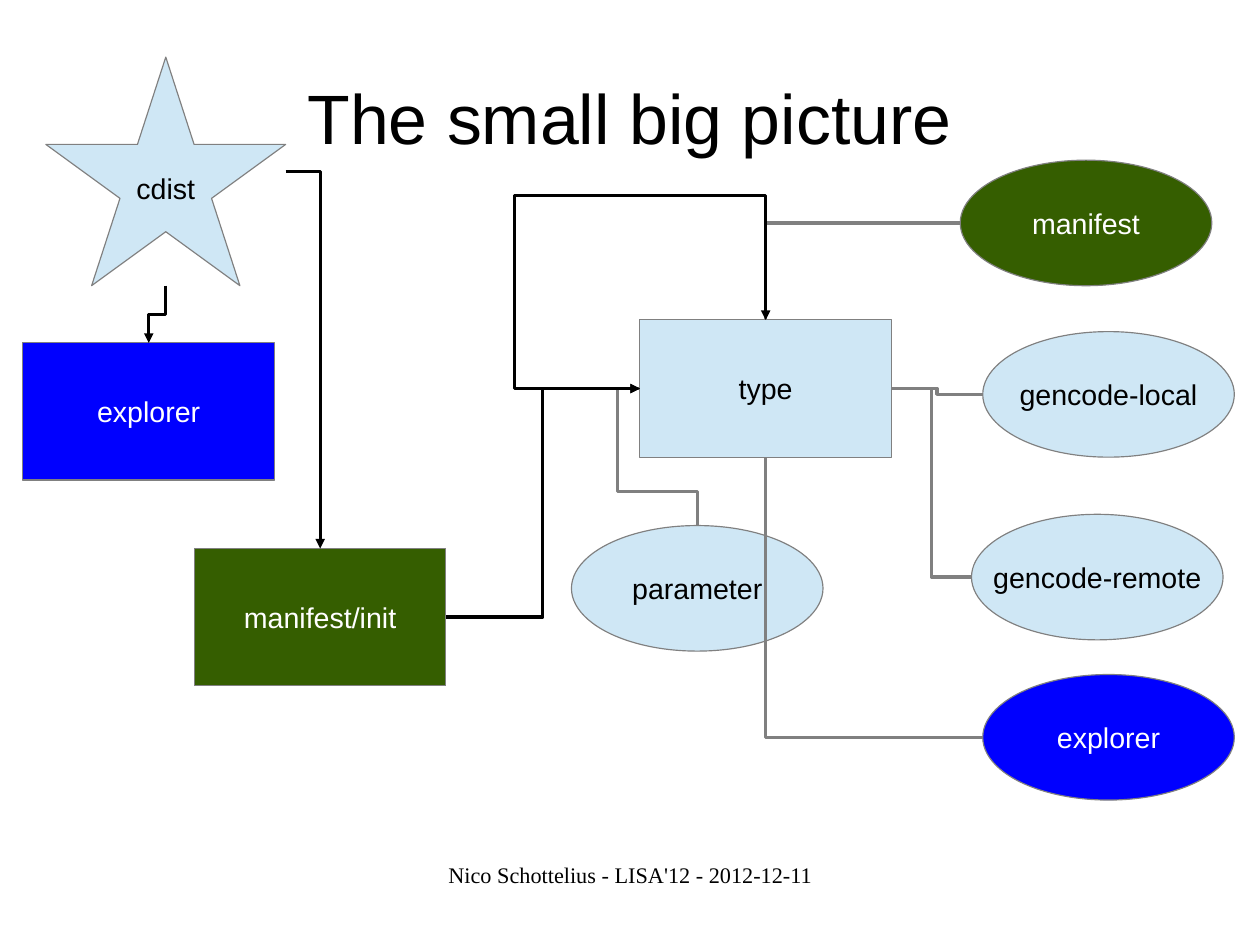
from math import cos, radians, sin

from lxml.etree import SubElement
from pptx import Presentation
from pptx.dml.color import RGBColor
from pptx.enum.shapes import MSO_CONNECTOR, MSO_SHAPE as SHAPE
from pptx.enum.text import MSO_ANCHOR, PP_ALIGN
from pptx.oxml.ns import qn
from pptx.util import Cm, Pt

COLORS = {"black": "000000", "white": "FFFFFF", "gray": "808080",
          "green": "355E00", "blue": "0000FF", "light": "CFE7F5"}


def rgb(name):
    return RGBColor.from_string(COLORS[name])


def write(tf, text, size, color="black", font="Arial"):
    tf.text = text
    tf.vertical_anchor = MSO_ANCHOR.MIDDLE
    p = tf.paragraphs[0]
    p.alignment = PP_ALIGN.CENTER
    r = p.runs[0]
    r.font.size, r.font.name = Pt(size), font
    r.font.color.rgb = rgb(color)


prs = Presentation()
prs.slide_width, prs.slide_height = Cm(28), Cm(21)
s = prs.slides.add_slide(prs.slide_layouts[6])

# Title and footer
for text, x, y, w, h, size, font in [
        ("The small big picture", 1.4, 0.84, 25.2, 3.5, 44, "Arial"),
        ("Nico Schottelius - LISA'12 - 2012-12-11", 9.58, 19.13, 8.86, 1.45,
         14, "Times New Roman")]:
    tf = s.shapes.add_textbox(Cm(x), Cm(y), Cm(w), Cm(h)).text_frame
    tf.word_wrap = True
    tf.margin_left = tf.margin_right = tf.margin_top = tf.margin_bottom = 0
    write(tf, text, size, font=font)
tf.vertical_anchor = MSO_ANCHOR.TOP

# Nodes: key, label, shape, left, top, fill
SIZES = {SHAPE.RECTANGLE: (5.59, 3.05), SHAPE.OVAL: (5.59, 2.79),
         SHAPE.STAR_5_POINT: (5.33, 5.08)}
nodes = {}
for key, label, kind, x, y, fill in [
        ("init", "manifest/init", SHAPE.RECTANGLE, 4.32, 12.19, "green"),
        ("type", "type", SHAPE.RECTANGLE, 14.22, 7.11, "light"),
        ("manifest", "manifest", SHAPE.OVAL, 21.34, 3.56, "green"),
        ("local", "gencode-local", SHAPE.OVAL, 21.84, 7.37, "light"),
        ("remote", "gencode-remote", SHAPE.OVAL, 21.59, 11.43, "light"),
        ("parameter", "parameter", SHAPE.OVAL, 12.7, 11.68, "light"),
        ("type explorer", "explorer", SHAPE.OVAL, 21.84, 14.99, "blue"),
        ("explorer", "explorer", SHAPE.RECTANGLE, 0.51, 7.62, "blue"),
        ("cdist", "cdist", SHAPE.STAR_5_POINT, 1.02, 1.27, "light")]:
    w, h = SIZES[kind]
    sp = s.shapes.add_shape(kind, Cm(x), Cm(y), Cm(w), Cm(h))
    sp.shadow.inherit = False
    sp.fill.solid()
    sp.fill.fore_color.rgb = rgb(fill)
    sp.line.color.rgb = rgb("gray")
    sp.line.width = Pt(0)
    sp.text_frame.word_wrap = False
    write(sp.text_frame, label, 18, "black" if fill == "light" else "white")
    nodes[key] = sp

# Links: from, side, to, side, bends, rotation, adjustments, arrow ends
SIDES = {"top": (0.5, 0), "left": (0, 0.5),
         "bottom": (0.5, 1), "right": (1, 0.5)}
for start, side1, end, side2, bends, angle, adjusts, arrows in [
        ("type", "top", "manifest", "left", 2, 90, [], []),
        ("type", "right", "local", "left", 3, 0, [0.5], []),
        ("type", "right", "remote", "left", 3, 0, [0.5], []),
        ("type", "bottom", "type explorer", "left", 2, 270, [], []),
        ("type", "left", "parameter", "top", 4, 180, [-0.394, 0.75], []),
        ("type", "top", "type", "left", 4, 90, [-1.817, 2],
         ["headEnd", "tailEnd"]),
        ("cdist", "bottom", "explorer", "top", 3, 90, [0.5], ["tailEnd"]),
        ("cdist", "right", "init", "top", 2, 0, [], ["tailEnd"]),
        ("init", "right", "type", "left", 3, 0, [0.5], ["tailEnd"])]:
    (x1, y1), (x2, y2) = [
        (nodes[n].left + SIDES[side][0] * nodes[n].width,
         nodes[n].top + SIDES[side][1] * nodes[n].height)
        for n, side in ((start, side1), (end, side2))]
    # Turn the ends back around the centre, as the frame is stored unrotated
    cx, cy, dx, dy = (x1 + x2) / 2, (y1 + y2) / 2, (x1 - x2) / 2, (y1 - y2) / 2
    co, si = cos(radians(angle)), sin(radians(angle))
    ux, uy = dx * co + dy * si, dy * co - dx * si
    link = s.shapes.add_connector(MSO_CONNECTOR.ELBOW, round(cx + ux),
                                  round(cy + uy), round(cx - ux), round(cy - uy))
    link.line.color.rgb = rgb("black" if arrows else "gray")
    link.line.width = Pt(0)
    sp_pr = link.element.spPr
    if angle:
        sp_pr.find(qn("a:xfrm")).set("rot", str(angle * 60000))
    geom = sp_pr.find(qn("a:prstGeom"))
    geom.set("prst", f"bentConnector{bends}")
    for i, value in enumerate(adjusts, 1):
        SubElement(geom.find(qn("a:avLst")), qn("a:gd"), name=f"adj{i}",
                   fmla=f"val {round(value * 100000)}")
    for arrow in arrows:
        SubElement(sp_pr.find(qn("a:ln")), qn(f"a:{arrow}"), type="triangle")
    SubElement(sp_pr, qn("a:effectLst"))

prs.save("out.pptx")
